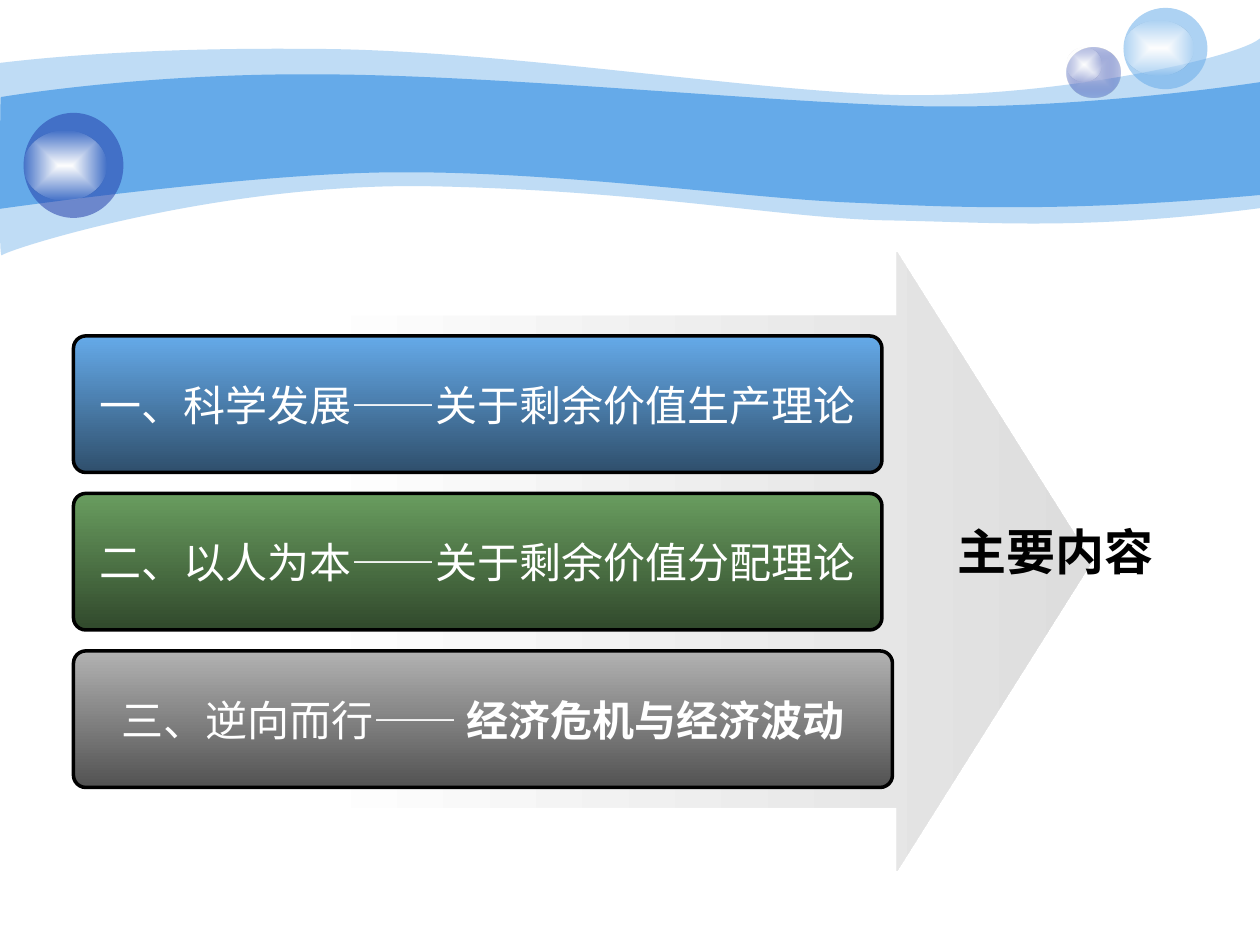
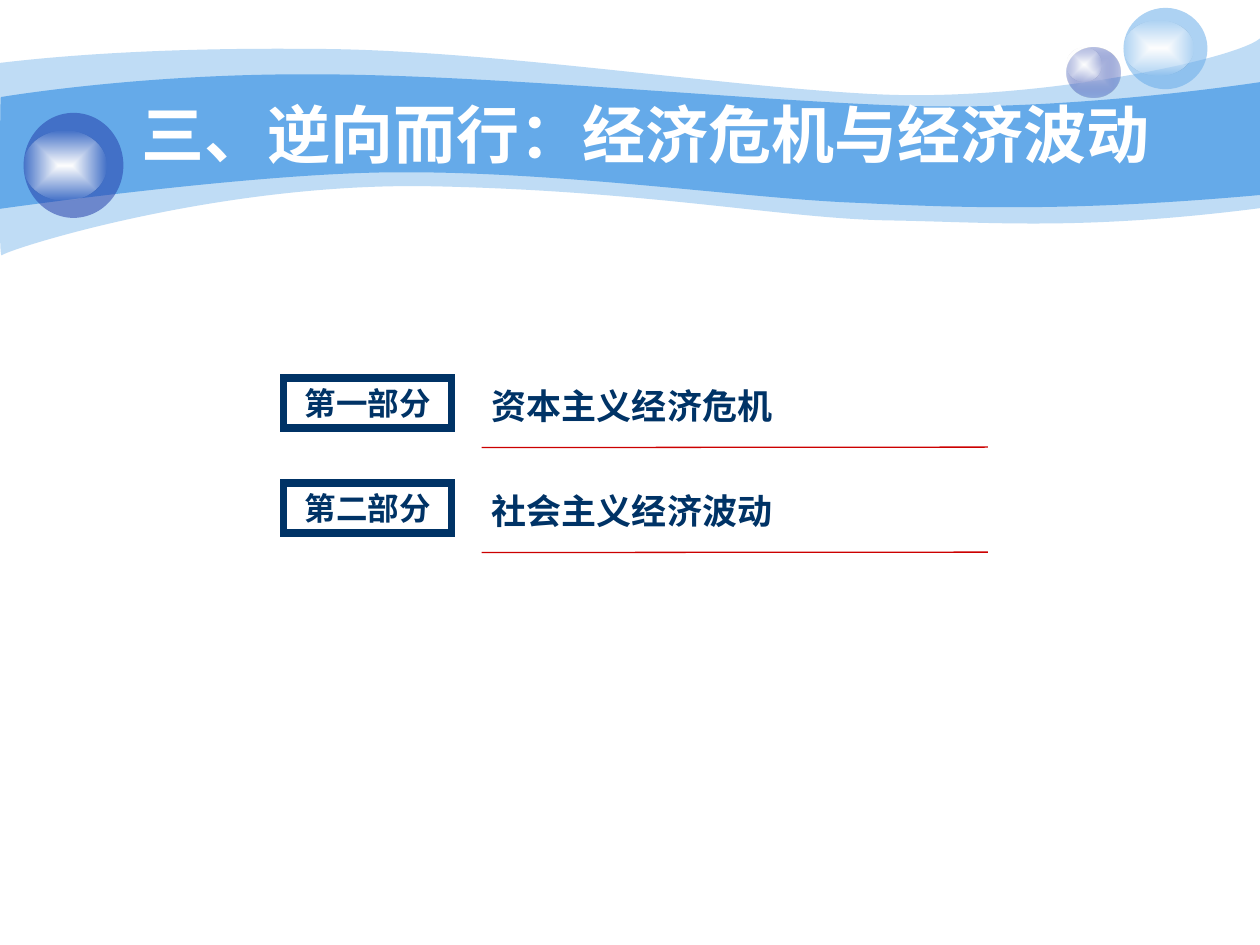
from pptx import Presentation
from pptx.dml.color import RGBColor
from pptx.enum.shapes import MSO_CONNECTOR, MSO_SHAPE
from pptx.enum.text import MSO_ANCHOR, MSO_AUTO_SIZE, PP_ALIGN
from pptx.oxml import parse_xml
from pptx.oxml.ns import nsdecls, qn
from pptx.util import Pt
from lxml import etree

OVAL, RECT = MSO_SHAPE.OVAL, MSO_SHAPE.RECTANGLE
ROUND, ARROW = MSO_SHAPE.ROUNDED_RECTANGLE, MSO_SHAPE.RIGHT_ARROW
TOP, MIDDLE = MSO_ANCHOR.TOP, MSO_ANCHOR.MIDDLE
LEFT, CENTER = PP_ALIGN.LEFT, PP_ALIGN.CENTER

SKY, INDIGO, NAVY, RED = "65AAE9", "233DA9", "003366", "CC0000"
WHITE, BLACK = "FFFFFF", "000000"
GLOW = [(WHITE, 100), (WHITE, 0)]


def paint(sp, stops, angle=None):
    """Fill with (colour, opacity %) stops: one is solid, two a gradient.
    A gradient without an angle runs from the centre outwards."""
    sp.shadow.inherit = False
    colours = [f'<a:srgbClr val="{c}"><a:alpha val="{a * 1000}"/></a:srgbClr>'
               if a < 100 else f'<a:srgbClr val="{c}"/>' for c, a in stops]
    if len(stops) == 1:
        xml = f'<a:solidFill {nsdecls("a")}>{colours[0]}</a:solidFill>'
    else:
        if angle is None:
            way = ('<a:path path="rect"><a:fillToRect l="50000" t="50000" '
                   'r="50000" b="50000"/></a:path>')
        else:
            way = f'<a:lin ang="{angle * 60000}" scaled="0"/>'
        xml = (f'<a:gradFill {nsdecls("a")} rotWithShape="1"><a:gsLst>'
               f'<a:gs pos="0">{colours[0]}</a:gs>'
               f'<a:gs pos="100000">{colours[1]}</a:gs>'
               f'</a:gsLst>{way}</a:gradFill>')
    sp.fill.background()
    no_fill = sp.element.spPr.find(qn("a:noFill"))
    sp.element.spPr.replace(no_fill, parse_xml(xml))


def write(sp, runs, size, colour, font, align=CENTER, anchor=MIDDLE, wrap=True):
    """Put (text, bold) runs into the shape's first paragraph."""
    tf = sp.text_frame
    tf.word_wrap = wrap
    tf.auto_size = MSO_AUTO_SIZE.NONE
    tf.vertical_anchor = anchor
    p = tf.paragraphs[0]
    p.alignment = align
    for text, bold in runs:
        r = p.add_run()
        r.text = text
        r.font.name, r.font.size, r.font.bold = font, Pt(size), bold
        r.font.color.rgb = RGBColor.from_string(colour)


prs = Presentation()
prs.slide_width, prs.slide_height = Pt(720), Pt(540)
s = prs.slides.add_slide(prs.slide_layouts[6])

# Shared waves: pairs are straight steps, sixes are Bezier curves
waves = [
    (41, [(0, 36), (17, 34, 77, 27, 178, 28), (278, 28, 414, 50, 503, 54),
          (592, 58, 706, 34, 720, 22), (720, 119),
          (618, 132, 567, 127, 508, 126), (448, 125, 371, 109, 247, 106.5),
          (124, 104, 3, 143, 1, 146), (-1, 150, 0, 54, 0, 36)]),
    (100, [(0.5, 55.5), (1, 55.5, 79, 42, 179, 42.5),
           (278, 42.5, 428, 57.5, 517, 60.5),
           (606, 63.5, 703, 49.5, 720, 47), (720, 111.5),
           (614, 121, 551, 119, 491, 116), (431, 114, 322, 98, 228, 98.5),
           (146, 98.5, -1, 119.5, -1, 119.5), (0, 119.5, 0, 55.5, 0.5, 55.5)]),
]
decor = []
for opacity, (start, *segments) in waves:
    builder = s.shapes.build_freeform(Pt(start[0]), Pt(start[1]))
    builder.add_line_segments([(Pt(seg[-2]), Pt(seg[-1])) for seg in segments])
    sp = builder.convert_to_shape()
    # Bend the straight steps that have control points
    for line, seg in zip(sp.element.findall(".//" + qn("a:lnTo")), segments):
        if len(seg) == 6:
            line.tag = qn("a:cubicBezTo")
            line.clear()
            for x, y in zip(seg[::2], seg[1::2]):
                etree.SubElement(line, qn("a:pt"), x=str(Pt(x) - sp.left),
                                 y=str(Pt(y) - sp.top))
    etree.SubElement(sp.element.find(".//" + qn("a:path")), qn("a:close"))
    paint(sp, [(SKY, opacity)])
    decor.append(sp)

# Shared bubbles, each followed by its glow
bubbles = [
    (609.5, 27, 30.5, 29, [("C7CEE9", 100), (INDIGO, 31)]),
    (609.5, 27, 20, 19.5, GLOW),
    (642, 4.5, 48, 46.5, [(SKY, 53)]),
    (642, 12, 40, 31, GLOW),
    (13.5, 64.5, 57, 60, [(INDIGO, 53)]),
    (13.5, 74.5, 47.5, 40, GLOW),
]
for x, y, w, h, stops in bubbles:
    sp = s.shapes.add_shape(OVAL, Pt(x), Pt(y), Pt(w), Pt(h))
    paint(sp, stops)
    decor.append(sp)

# Move the decoration to the master, behind its placeholders
for i, sp in enumerate(decor):
    sp.line.fill.background()
    sp.element.xpath(".//p:cNvPr")[0].set("id", str(100 + i))
    prs.slide_master.shapes.element.insert(2 + i, sp.element)

# Slide 1: contents arrow
sp = s.shapes.add_shape(ARROW, Pt(174), Pt(144), Pt(450), Pt(354))
sp.adjustments[0] = 281 / 354  # shaft height
sp.adjustments[1] = 111.5 / 354  # head length
paint(sp, [(WHITE, 100), ("DDDDDD", 100)], 0)
sp.line.fill.background()

# Slide 1: chapter bars
chapters = [
    (462, SKY, "2F4F6C", [("一、科学发展——关于剩余价值生产理论", False)]),
    (462, "699D5F", "31492C", [("二、以人为本——关于剩余价值分配理论", False)]),
    (468, "B2B2B2", "525252", [("三、逆向而行—— ", False),
                               ("经济危机与经济波动", True)]),
]
for i, (w, light, dark, runs) in enumerate(chapters):
    sp = s.shapes.add_shape(ROUND, Pt(42), Pt(192 + 90 * i), Pt(w), Pt(78))
    sp.adjustments[0] = 0.09
    paint(sp, [(light, 100), (dark, 100)], 90)
    sp.line.color.rgb = RGBColor.from_string(BLACK)
    sp.line.width = Pt(2)
    write(sp, runs, 24, WHITE, "Arial", wrap=False)

# Slide 1: arrow label
sp = s.shapes.add_shape(ROUND, Pt(504), Pt(264), Pt(198), Pt(102))
sp.adjustments[0] = 0.09
sp.shadow.inherit = False
sp.fill.background()
sp.line.fill.background()
write(sp, [("主要内容", True)], 28, BLACK, "Arial")

# Slide 2: title
s = prs.slides.add_slide(prs.slide_layouts[5])
title = s.shapes.title
title.left, title.top, title.width, title.height = Pt(36), Pt(54), Pt(666), Pt(44.5)
write(title, [("三、逆向而行：经济危机与经济波动", True)], 36, WHITE, "Arial")

# Slide 2: parts, each a boxed number, a topic and a rule
parts = [("第一部分", "资本主义经济危机"), ("第二部分", "社会主义经济波动")]
for i, (number, topic) in enumerate(parts):
    y = 216 + 60 * i
    sp = s.shapes.add_shape(RECT, Pt(162), Pt(y), Pt(96), Pt(28.8))
    sp.shadow.inherit = False
    sp.fill.background()
    sp.line.color.rgb = RGBColor.from_string(NAVY)
    sp.line.width = Pt(4.5)
    etree.SubElement(sp.element.spPr.find(qn("a:ln")), qn("a:miter"), lim="800000")
    write(sp, [(number, True)], 18, NAVY, "Times New Roman", anchor=TOP)

    rule = s.shapes.add_connector(MSO_CONNECTOR.STRAIGHT, Pt(275.25), Pt(y + 39.75),
                                  Pt(564.5), Pt(y + 39.5))
    rule.line.color.rgb = RGBColor.from_string(RED)
    rule.line.width = Pt(0.75)
    etree.SubElement(rule.element.spPr, qn("a:effectLst"))

    sp = s.shapes.add_textbox(Pt(281), Pt(y), Pt(284), Pt(31.5))
    sp.text_frame.margin_left = sp.text_frame.margin_right = 0
    write(sp, [(topic, True)], 20, NAVY, "Times New Roman", LEFT, TOP)

prs.save("out.pptx")
